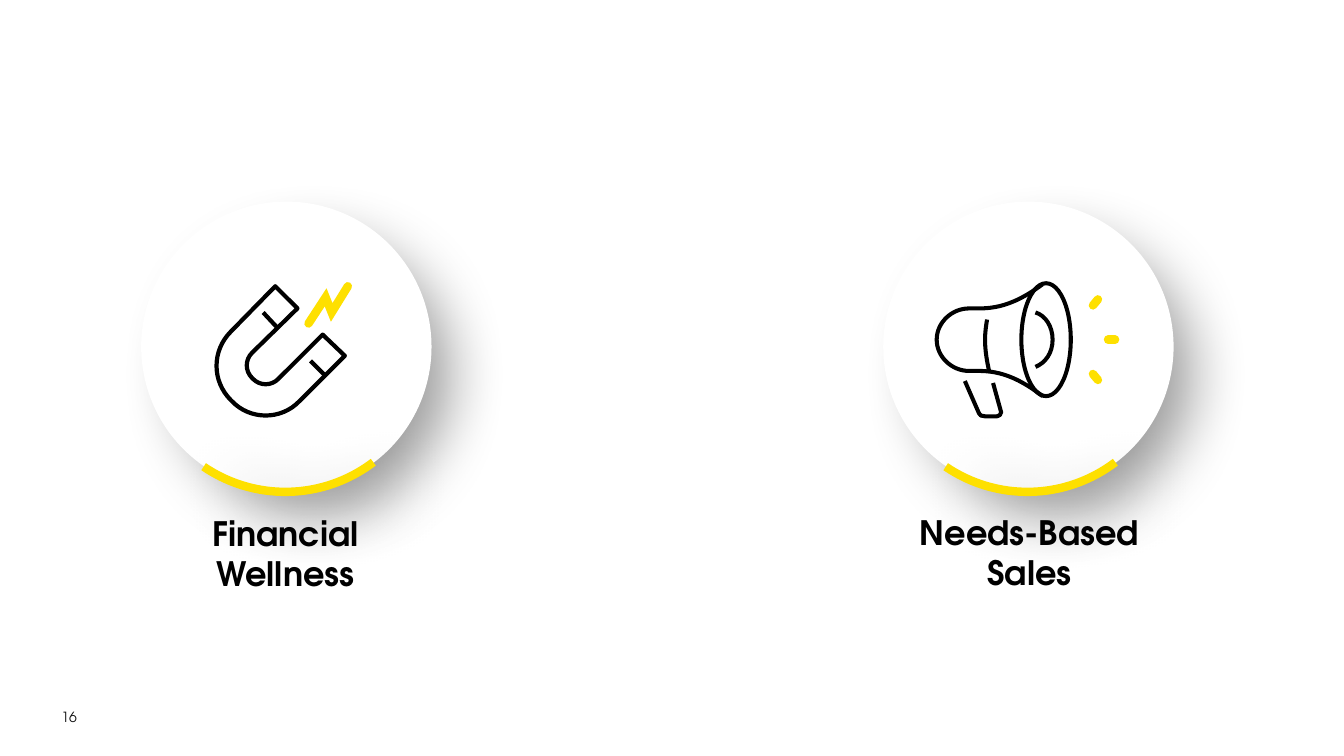
from dataclasses import dataclass

from lxml import etree
from pptx import Presentation
from pptx.dml.color import RGBColor
from pptx.enum.shapes import MSO_CONNECTOR, MSO_SHAPE
from pptx.enum.text import MSO_ANCHOR, MSO_AUTO_SIZE, PP_ALIGN
from pptx.oxml.ns import qn
from pptx.util import Inches, Pt


@dataclass(frozen=True)
class Theme:
    font: str = "TeX Gyre Adventor"
    black: str = "000000"
    grey: str = "0D0D0D"
    white: str = "FFFFFF"
    yellow: str = "FEE000"
    label: int = 24
    number: int = 10
    accent_width: float = 6


theme = Theme()


def add_text(text, at, size, color, bold=False, align=PP_ALIGN.LEFT,
             anchor=MSO_ANCHOR.TOP, grow=False):
    tf = s.shapes.add_textbox(*map(Inches, at)).text_frame
    tf.word_wrap = True
    tf.vertical_anchor = anchor
    tf.auto_size = MSO_AUTO_SIZE.SHAPE_TO_FIT_TEXT if grow else MSO_AUTO_SIZE.NONE
    p = tf.paragraphs[0]
    p.alignment = align
    r = p.add_run()
    r.text = text
    r.font.name, r.font.size, r.font.bold = theme.font, Pt(size), bold
    r.font.color.rgb = RGBColor.from_string(color)


def paint(sp, fill=None, line=None, width=1, cap="flat", join="round", shadow=False):
    if fill:
        sp.fill.solid()
        sp.fill.fore_color.rgb = RGBColor.from_string(fill)
    elif hasattr(sp, "fill"):
        sp.fill.background()
    if line:
        sp.line.color.rgb = RGBColor.from_string(line)
        sp.line.width = Pt(width)
        ln = sp._element.spPr.find(qn("a:ln"))
        ln.set("cap", cap)
        etree.SubElement(ln, qn(f"a:{join}"))
    else:
        sp.line.fill.background()
    effects = etree.SubElement(sp._element.spPr, qn("a:effectLst"))
    if shadow:
        outer = etree.SubElement(effects, qn("a:outerShdw"), blurRad=str(Pt(44)),
                                 dist=str(Pt(38)), dir=str(45 * 60000),
                                 sx="93000", sy="93000", algn="tl", rotWithShape="0")
        color = etree.SubElement(outer, qn("a:srgbClr"), val=theme.black)
        etree.SubElement(color, qn("a:alpha"), val="40000")


prs = Presentation()
prs.slide_width, prs.slide_height = Inches(13.33), Inches(7.5)
s = prs.slides.add_slide(prs.slide_layouts[6])

# Slide number
add_text("16", (0.51, 6.91, 1.29, 0.4), theme.number, theme.grey,
         anchor=MSO_ANCHOR.MIDDLE)

# Icon outlines: a start point, then lines (x, y) or cubic curves (six numbers)
magnet = [(3.42, 3.53), (2.97, 3.98), (2.79, 4.17, 2.48, 4.17, 2.3, 3.98),
          (2.29, 3.97), (2.1, 3.78, 2.1, 3.48, 2.29, 3.29), (2.73, 2.84),
          (2.95, 3.06), (2.5, 3.5), (2.43, 3.57, 2.43, 3.68, 2.5, 3.75),
          (2.51, 3.76), (2.58, 3.83, 2.69, 3.83, 2.76, 3.76), (3.2, 3.32)]
bolt = [(3.45, 2.84), (3.29, 3.1), (3.23, 2.95), (3.06, 3.21)]
seam = [(9.81, 3.68), (9.79, 3.59, 9.77, 3.48, 9.77, 3.37),
        (9.77, 3.3, 9.78, 3.23, 9.79, 3.17)]
inner_cone = [(10.27, 3.64), (10.37, 3.6, 10.44, 3.5, 10.44, 3.37),
              (10.44, 3.24, 10.37, 3.13, 10.27, 3.1)]
horn = [(10.34, 2.82), (9.99, 3.08, 9.79, 3.06, 9.61, 3.06),
        (9.44, 3.06, 9.29, 3.2, 9.29, 3.37), (9.29, 3.54, 9.44, 3.68, 9.61, 3.68),
        (9.79, 3.68, 9.99, 3.66, 10.34, 3.93)]
handle = [(9.57, 3.78), (9.71, 4.1), (9.71, 4.12, 9.74, 4.13, 9.77, 4.13),
          (9.89, 4.13), (9.91, 4.13, 9.93, 4.11, 9.93, 4.09), (9.85, 3.8)]

magnet_line = dict(line=theme.black, width=3)
horn_line = dict(line=theme.black, width=2.88)
accent = dict(line=theme.yellow, width=theme.accent_width, cap="rnd")

# Each badge: label, label box, circle left, rim ellipse, lines, outlines
badges = [
    ("Financial Wellness", (1.53, 5.04, 2.6, 0.91), 1.4, None,
     [((2.61, 3.1, 2.75, 3.25), magnet_line), ((3.08, 3.58, 3.22, 3.72), magnet_line)],
     [(magnet, True, magnet_line), (bolt, False, dict(accent, join="miter"))]),
    ("Needs-Based Sales", (8.97, 5.03, 2.48, 0.91), 8.76, (10.13, 2.81, 0.49, 1.12),
     [((10.99, 3.37, 11.06, 3.37), accent), ((10.84, 3.71, 10.89, 3.77), accent),
      ((10.89, 2.97, 10.84, 3.03), accent)],
     [(seam, False, horn_line), (inner_cone, False, horn_line),
      (horn, False, horn_line), (handle, False, horn_line)]),
]

top, diameter = 2, 2.88
for label, label_box, left, rim, lines, outlines in badges:
    add_text(label, label_box, theme.label, theme.black, bold=True,
             align=PP_ALIGN.CENTER, grow=True)
    shapes = s.shapes.add_group_shape().shapes

    # White disc
    disc = shapes.add_shape(MSO_SHAPE.OVAL,
                            *map(Inches, (left, top, diameter, diameter)))
    paint(disc, fill=theme.white, shadow=True)

    # Icon: straight strokes, rim, then outlines
    for ends, style in lines:
        paint(shapes.add_connector(MSO_CONNECTOR.STRAIGHT, *map(Inches, ends)), **style)
    if rim:
        paint(shapes.add_shape(MSO_SHAPE.OVAL, *map(Inches, rim)), **horn_line)
    for outline, closed, style in outlines:
        points = [(Inches(seg[i]), Inches(seg[i + 1]))
                  for seg in outline for i in range(0, len(seg), 2)]
        builder = shapes.build_freeform(*points[0])
        builder.add_line_segments(points[1:], close=False)
        sp = builder.convert_to_shape()
        outline_path = next(sp._element.iter(qn("a:path")))
        steps = iter(outline_path.findall(qn("a:lnTo")))
        for segment in outline[1:]:
            step = next(steps)
            if len(segment) == 6:
                curve = etree.Element(qn("a:cubicBezTo"))
                step.addprevious(curve)
                for node in (step, next(steps), next(steps)):
                    curve.append(node[0])
                    outline_path.remove(node)
        if closed:
            etree.SubElement(outline_path, qn("a:close"))
        paint(sp, **style)

    # Yellow arc along the lower edge
    arc = shapes.add_shape(MSO_SHAPE.ARC,
                           *map(Inches, (left - 0.01, top, diameter, diameter)))
    arc.adjustments[0], arc.adjustments[1] = 31.63, 74.55
    paint(arc, line=theme.yellow, width=theme.accent_width, shadow=True)

prs.save("out.pptx")
